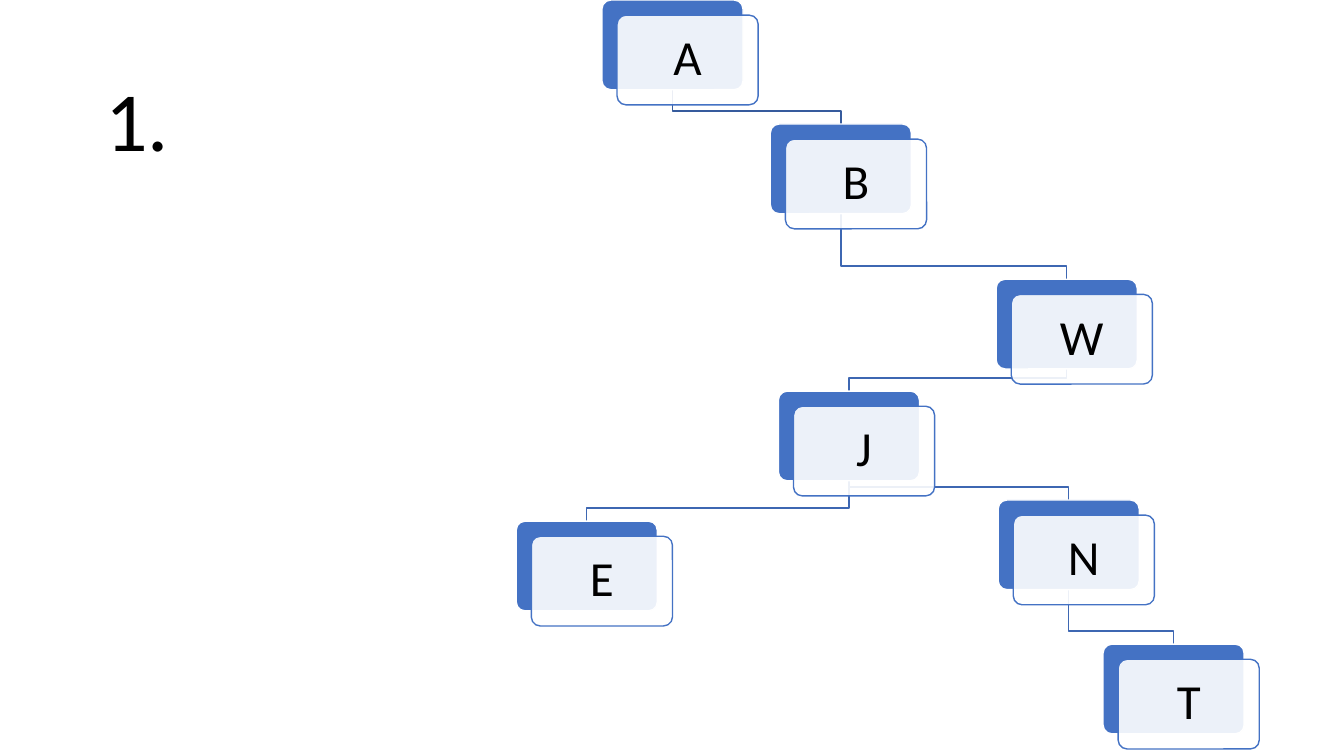
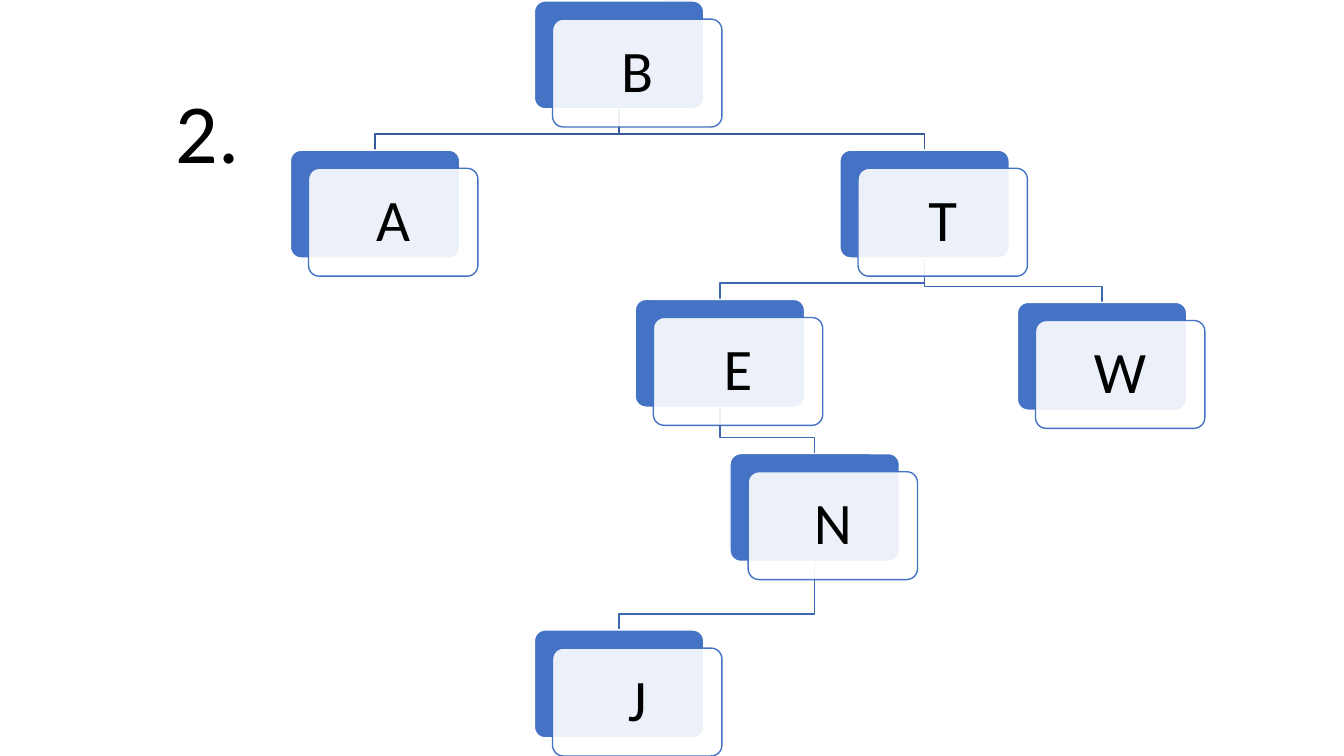
from lxml.etree import SubElement
from pptx import Presentation
from pptx.dml.color import RGBColor
from pptx.enum.shapes import MSO_SHAPE as Shape
from pptx.enum.text import MSO_ANCHOR as Anchor, MSO_AUTO_SIZE as AutoSize, PP_ALIGN as Align
from pptx.oxml.ns import qn
from pptx.util import Pt

PX = 9144  # 100 px to the inch
BLUE = RGBColor(0x44, 0x72, 0xC4)
ROOT_LINE = RGBColor(0x36, 0x5B, 0x9D)
BRANCH_LINE = RGBColor(0x3E, 0x67, 0xB2)
WHITE = RGBColor(0xFF, 0xFF, 0xFF)
BLACK = RGBColor(0x00, 0x00, 0x00)

# Each node: letter -> (left, top, parent letter); the root has no parent.
TREES = [
    dict(
        title="1.", title_at=(-70, 28), card=(140, 89), shift=15, drop=13, size=35,
        nodes={
            "A": (597, 0, None),
            "B": (764, 123, "A"),
            "W": (988, 277, "B"),
            "J": (772, 388, "W"),
            "E": (512, 517, "J"),
            "N": (990, 496, "J"),
            "T": (1094, 639, "N"),
        },
    ),
    dict(
        title="2.", title_at=(0, 40), card=(168, 107), shift=18, drop=16, size=42,
        nodes={
            "B": (530, 1, None),
            "A": (288, 149, "B"),
            "T": (833, 149, "B"),
            "E": (630, 297, "T"),
            "N": (724, 450, "E"),
            "J": (530, 625, "N"),
            "W": (1009, 300, "T"),
        },
    ),
]


def write_text(shape, text, size, anchor, inset=None):
    frame = shape.text_frame
    frame.text = text
    frame.word_wrap = True
    frame.auto_size = AutoSize.NONE
    frame.vertical_anchor = anchor
    if inset is not None:
        frame.margin_left = frame.margin_right = inset * PX
        frame.margin_top = frame.margin_bottom = inset * PX
    paragraph = frame.paragraphs[0]
    paragraph.alignment = Align.CENTER
    paragraph.line_spacing = 0.9
    font = paragraph.runs[0].font
    font.name, font.size, font.color.rgb = "Calibri", Pt(size), BLACK


def add_card(slide, left, top, width, height, fill, line):
    card = slide.shapes.add_shape(
        Shape.ROUNDED_RECTANGLE, left * PX, top * PX, width * PX, height * PX)
    card.adjustments[0] = 0.1
    card.shadow.inherit = False
    card.fill.solid()
    card.fill.fore_color.rgb = fill
    card.line.color.rgb = line
    card.line.width = Pt(1)
    return card


presentation = Presentation()
presentation.slide_width = 1333 * PX
presentation.slide_height = 750 * PX

for tree in TREES:
    slide = presentation.slides.add_slide(presentation.slide_layouts[5])
    title = slide.shapes.title
    title.left, title.top = (length * PX for length in tree["title_at"])
    title.width, title.height = 412 * PX, 145 * PX
    write_text(title, tree["title"], 60, Anchor.BOTTOM)

    nodes, shift = tree["nodes"], tree["shift"]
    width, height = tree["card"]

    # Branches go first, so that the cards cover their ends.
    for left, top, parent in nodes.values():
        if parent is None:
            continue
        parent_left, parent_top, grandparent = nodes[parent]
        start_x, end_x = parent_left + width // 2, left + width // 2
        bend_y = top - tree["drop"]
        builder = slide.shapes.build_freeform(start_x, parent_top + height, scale=PX)
        builder.add_line_segments(
            [(start_x, bend_y), (end_x, bend_y), (end_x, top)], close=False)
        branch = builder.convert_to_shape()
        branch.shadow.inherit = False
        branch.fill.background()
        branch.line.color.rgb = ROOT_LINE if grandparent is None else BRANCH_LINE
        branch.line.width = Pt(1)

    for letter, (left, top, parent) in nodes.items():
        add_card(slide, left, top, width, height, BLUE, WHITE)
        front = add_card(slide, left + shift, top + shift, width, height, WHITE, BLUE)
        fill_color = front._element.xpath("p:spPr/a:solidFill/a:srgbClr")[0]
        SubElement(fill_color, qn("a:alpha"), val="90000")
        write_text(front, letter, tree["size"], Anchor.MIDDLE, inset=shift)

presentation.save("out.pptx")
